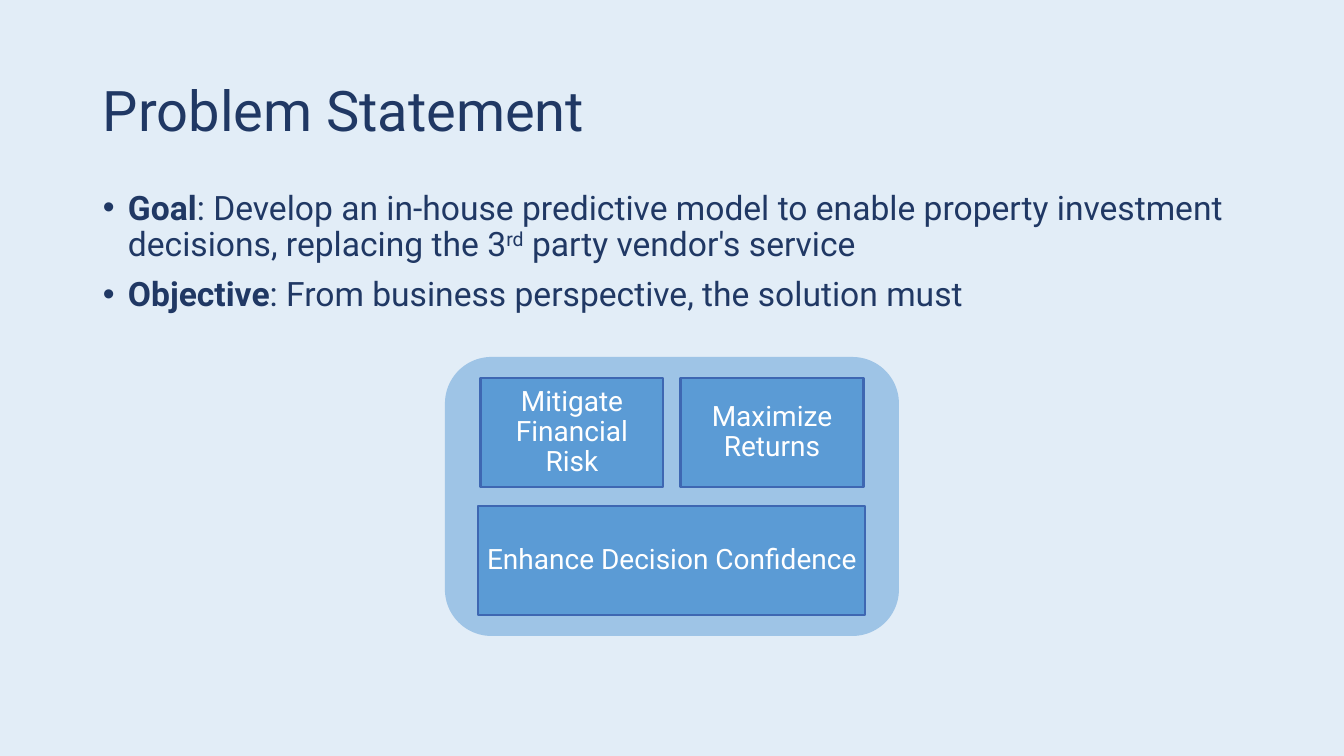
"""Build the problem statement slide."""
from dataclasses import dataclass

from lxml.etree import SubElement
from pptx import Presentation
from pptx.dml.color import RGBColor
from pptx.enum.shapes import MSO_SHAPE
from pptx.enum.text import MSO_ANCHOR, MSO_AUTO_SIZE, PP_ALIGN
from pptx.oxml.ns import qn
from pptx.util import Pt

TITLE = "Problem Statement"
POINTS = [
    [("Goal", "bold"),
     (": Develop an in-house predictive model to enable property investment decisions, replacing the 3", ""),
     ("rd", "super"),
     (" party vendor's service", "")],
    [("Objective", "bold"),
     (": From business perspective, the solution must", "")],
]
PAIR = ["Mitigate Financial Risk", "Maximize Returns"]
BASE = "Enhance Decision Confidence"


@dataclass(frozen=True)
class Theme:
    """Colours, font and type sizes."""
    back: str = "E2EDF7"
    panel: str = "9EC4E6"
    box: str = "5B9BD5"
    edge: str = "3E67B2"
    ink: str = "203864"
    white: str = "FFFFFF"
    font: str = "Roboto"
    head: int = 40
    body: int = 24
    label: int = 20


THEME = Theme()
WIDE, HIGH = 1344, 756
SCALE = 12192000 / WIDE
LEFT, SPAN = 93, 1159
PANEL = (445, 357, 454, 279)
BOX_W, BOX_H, BASE_W = 183, 109, 387
GAP_X, GAP_Y, PAD = 17, 19, 21


def px(size):
    """Turn pixels into EMU."""
    return round(size * SCALE)


def place(shape, area):
    """Set the frame of a shape from pixels."""
    shape.left, shape.top, shape.width, shape.height = map(px, area)


def write(shape, lines, size, color, align=PP_ALIGN.LEFT, anchor=MSO_ANCHOR.TOP,
          pad=(10, 5), before=0, after=0, bullet=0):
    """Fill a shape with lines of (text, style) runs."""
    frame = shape.text_frame
    frame.word_wrap = True
    frame.auto_size = MSO_AUTO_SIZE.NONE
    frame.vertical_anchor = anchor
    frame.margin_left = frame.margin_right = px(pad[0])
    frame.margin_top = frame.margin_bottom = px(pad[1])
    for num, line in enumerate(lines):
        para = frame.add_paragraph() if num else frame.paragraphs[0]
        para.alignment = align
        para.line_spacing = 0.9
        para.space_before, para.space_after = Pt(before), Pt(after)
        if bullet:
            props = para._p.get_or_add_pPr()
            props.set("marL", str(px(bullet)))
            props.set("indent", str(-px(bullet)))
            SubElement(props, qn("a:buFont")).set("typeface", "Arial")
            SubElement(props, qn("a:buChar")).set("char", "•")
        for text, style in line:
            run = para.add_run()
            run.text = text
            run.font.name, run.font.size = THEME.font, Pt(size)
            run.font.bold = style == "bold"
            run.font.color.rgb = RGBColor.from_string(color)
            if style == "super":
                run._r.get_or_add_rPr().set("baseline", "30000")


def block(slide, kind, area, fill, edge=None):
    """Add a flat shape with an optional edge."""
    shape = slide.shapes.add_shape(kind, *map(px, area))
    shape.shadow.inherit = False
    shape.fill.solid()
    shape.fill.fore_color.rgb = RGBColor.from_string(fill)
    if edge:
        shape.line.color.rgb = RGBColor.from_string(edge)
        shape.line.width = Pt(1.5)
    else:
        shape.line.fill.background()
    return shape


def main():
    """Lay out the slide and save it."""
    deck = Presentation()
    deck.slide_width, deck.slide_height = px(WIDE), px(HIGH)
    slide = deck.slides.add_slide(deck.slide_layouts[5])
    slide.background.fill.solid()
    slide.background.fill.fore_color.rgb = RGBColor.from_string(THEME.back)

    block(slide, MSO_SHAPE.ROUNDED_RECTANGLE, PANEL, THEME.panel)

    title = slide.shapes.title
    place(title, (LEFT, 40, SPAN, 146))
    write(title, [[(TITLE, "")]], THEME.head, THEME.ink, anchor=MSO_ANCHOR.MIDDLE)

    body = slide.shapes.add_textbox(*map(px, (LEFT, 186, SPAN, 170)))
    write(body, POINTS, THEME.body, THEME.ink, before=10, bullet=25)

    mid, top = PANEL[0] + PANEL[2] / 2, PANEL[1] + PAD
    start = mid - BOX_W - GAP_X / 2
    boxes = [(text, (start + col * (BOX_W + GAP_X), top, BOX_W, BOX_H))
             for col, text in enumerate(PAIR)]
    boxes.append((BASE, (mid - BASE_W / 2, top + BOX_H + GAP_Y, BASE_W, BOX_H)))
    for text, area in boxes:
        shape = block(slide, MSO_SHAPE.RECTANGLE, area, THEME.box, THEME.edge)
        write(shape, [[(text, "")]], THEME.label, THEME.white, align=PP_ALIGN.CENTER,
              anchor=MSO_ANCHOR.MIDDLE, pad=(8, 8), after=7)

    deck.save("out.pptx")


if __name__ == "__main__":
    main()
